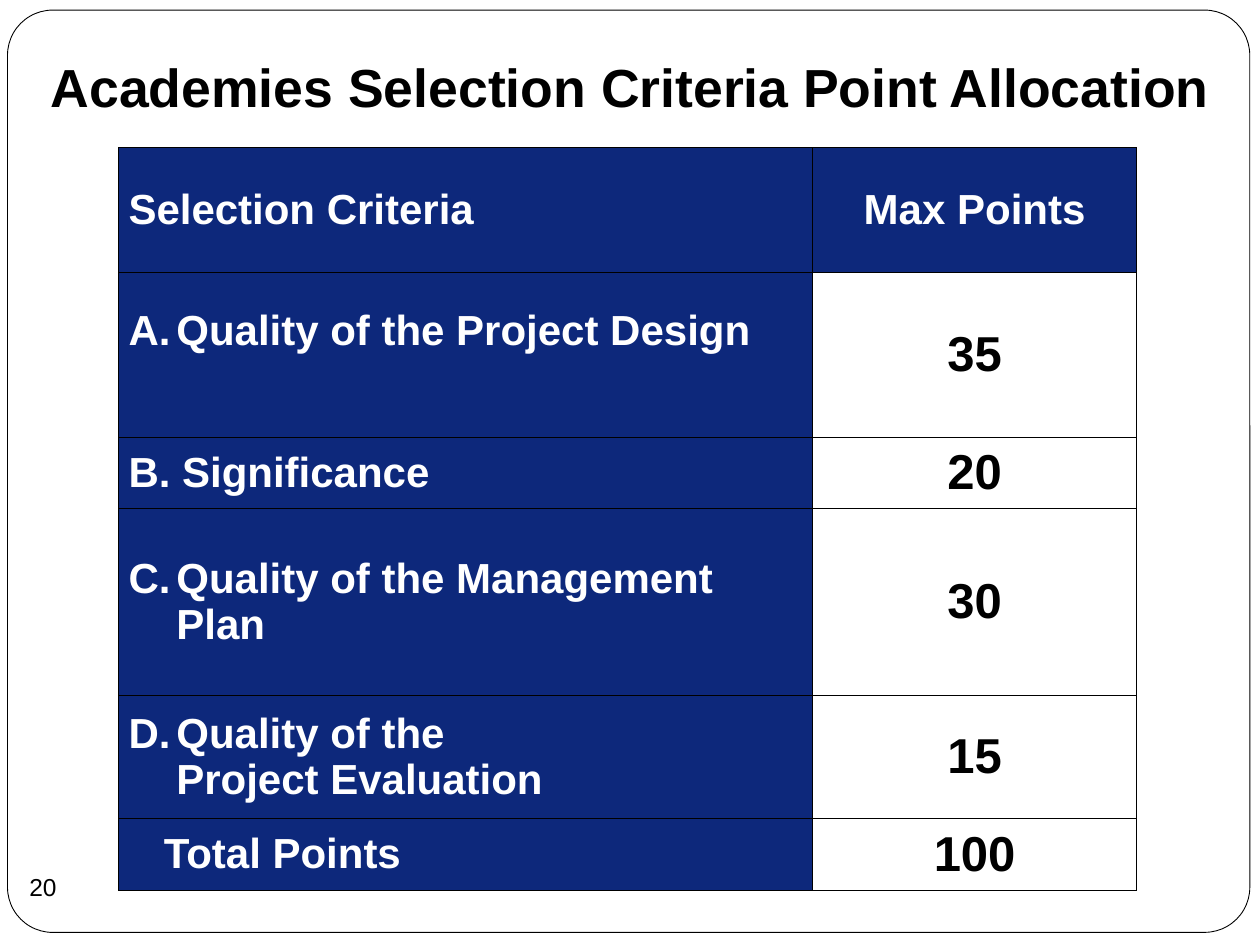
from lxml import etree
from pptx import Presentation
from pptx.dml.color import RGBColor
from pptx.enum import shapes, text
from pptx.oxml import ns
from pptx.util import Inches, Pt

TITLE = "Academies Selection Criteria Point Allocation"
PAGE_NUMBER = "20"
CRITERIA = [
    {"label": "Selection Criteria", "points": "Max Points", "height": 0.99},
    {"label": "Quality of the Project Design", "points": "35", "height": 1.31,
     "number": 1, "bottom": 0.42},
    {"label": "B. Significance", "points": "20", "height": 0.49},
    {"label": "Quality of the Management Plan", "points": "30", "height": 1.48, "number": 3},
    {"label": "Quality of the \vProject Evaluation", "points": "15", "height": 0.98, "number": 4},
    {"label": "Total Points", "points": "100", "height": 0.49, "indent": 0.28},
]
COLUMN_WIDTHS = [5.51, 2.57]
FONT = "Arial"
HANGING = 0.38

NAVY = RGBColor(0x0D, 0x28, 0x7B)
WHITE = RGBColor(0xFF, 0xFF, 0xFF)
BLACK = RGBColor(0, 0, 0)


def write(frame, content, size, color, bold=True, align=text.PP_ALIGN.LEFT):
    frame.word_wrap = True
    paragraph = frame.paragraphs[0]
    paragraph.text = content
    paragraph.alignment = align
    for run in paragraph.runs:
        run.font.name = FONT
        run.font.size = Pt(size)
        run.font.bold = bold
        run.font.color.rgb = color
    return paragraph


def add_color(parent, tag, color):
    holder = etree.SubElement(parent, ns.qn(tag))
    etree.SubElement(holder, ns.qn("a:srgbClr"), val=str(color))


def number_paragraph(paragraph, start):
    properties = paragraph._p.get_or_add_pPr()
    properties.set("marL", str(Inches(HANGING)))
    properties.set("indent", str(-Inches(HANGING)))
    add_color(properties, "a:buClr", WHITE)
    etree.SubElement(properties, ns.qn("a:buFont"), typeface=FONT)
    etree.SubElement(properties, ns.qn("a:buAutoNum"), type="alphaUcPeriod", startAt=str(start))


def style_cell(cell, fill, bottom=0.05):
    cell.vertical_anchor = text.MSO_ANCHOR.MIDDLE
    cell.margin_left = cell.margin_right = Inches(0.08)
    cell.margin_top = Inches(0.05)
    cell.margin_bottom = Inches(bottom)
    properties = cell._tc.get_or_add_tcPr()
    for side in ("a:lnL", "a:lnR", "a:lnT", "a:lnB"):
        border = etree.SubElement(properties, ns.qn(side), w=str(Pt(0.45)))
        add_color(border, "a:solidFill", BLACK)
    if fill is None:
        cell.fill.background()
    else:
        cell.fill.solid()
        cell.fill.fore_color.rgb = fill


def main():
    deck = Presentation()
    deck.slide_width, deck.slide_height = Inches(10), Inches(7.5)
    slide = deck.slides.add_slide(deck.slide_layouts[6])

    frame = slide.shapes.add_shape(
        shapes.MSO_SHAPE.ROUNDED_RECTANGLE,
        Inches(0.06), Inches(0.08), Inches(9.86), Inches(7.32))
    frame.adjustments[0] = 0.049
    frame.shadow.inherit = False
    frame.fill.solid()
    frame.fill.fore_color.rgb = WHITE
    frame.line.color.rgb = BLACK
    frame.line.width = Pt(0.5)

    title = slide.shapes.add_textbox(
        Inches(0.25), Inches(0.08), Inches(9.5), Inches(1.25)).text_frame
    title.vertical_anchor = text.MSO_ANCHOR.MIDDLE
    title.margin_bottom = Inches(0.1)
    write(title, TITLE, 30.6, BLACK, align=text.PP_ALIGN.CENTER)

    table = slide.shapes.add_table(
        len(CRITERIA), len(COLUMN_WIDTHS), Inches(0.94), Inches(1.17),
        Inches(sum(COLUMN_WIDTHS)), Inches(sum(row["height"] for row in CRITERIA))).table
    table.horz_banding = False
    for column, width in zip(table.columns, COLUMN_WIDTHS):
        column.width = Inches(width)

    for index, criterion in enumerate(CRITERIA):
        header = index == 0
        table.rows[index].height = Inches(criterion["height"])
        label, points = table.cell(index, 0), table.cell(index, 1)
        style_cell(label, NAVY, criterion.get("bottom", 0.05))
        style_cell(points, NAVY if header else None)
        paragraph = write(label.text_frame, criterion["label"], 24, WHITE)
        if "number" in criterion:
            number_paragraph(paragraph, criterion["number"])
        elif "indent" in criterion:
            paragraph._p.get_or_add_pPr().set("marL", str(Inches(criterion["indent"])))
        write(points.text_frame, criterion["points"], 24 if header else 28,
              WHITE if header else BLACK, align=text.PP_ALIGN.CENTER)

    badge = slide.shapes.add_shape(
        shapes.MSO_SHAPE.OVAL, Inches(0.16), Inches(6.79), Inches(0.5), Inches(0.5))
    badge.shadow.inherit = False
    badge.fill.background()
    badge.line.fill.background()
    badge.text_frame.margin_left = badge.text_frame.margin_right = 0
    badge.text_frame.vertical_anchor = text.MSO_ANCHOR.MIDDLE
    write(badge.text_frame, PAGE_NUMBER, 14, BLACK, bold=False)

    deck.save("out.pptx")


if __name__ == "__main__":
    main()
